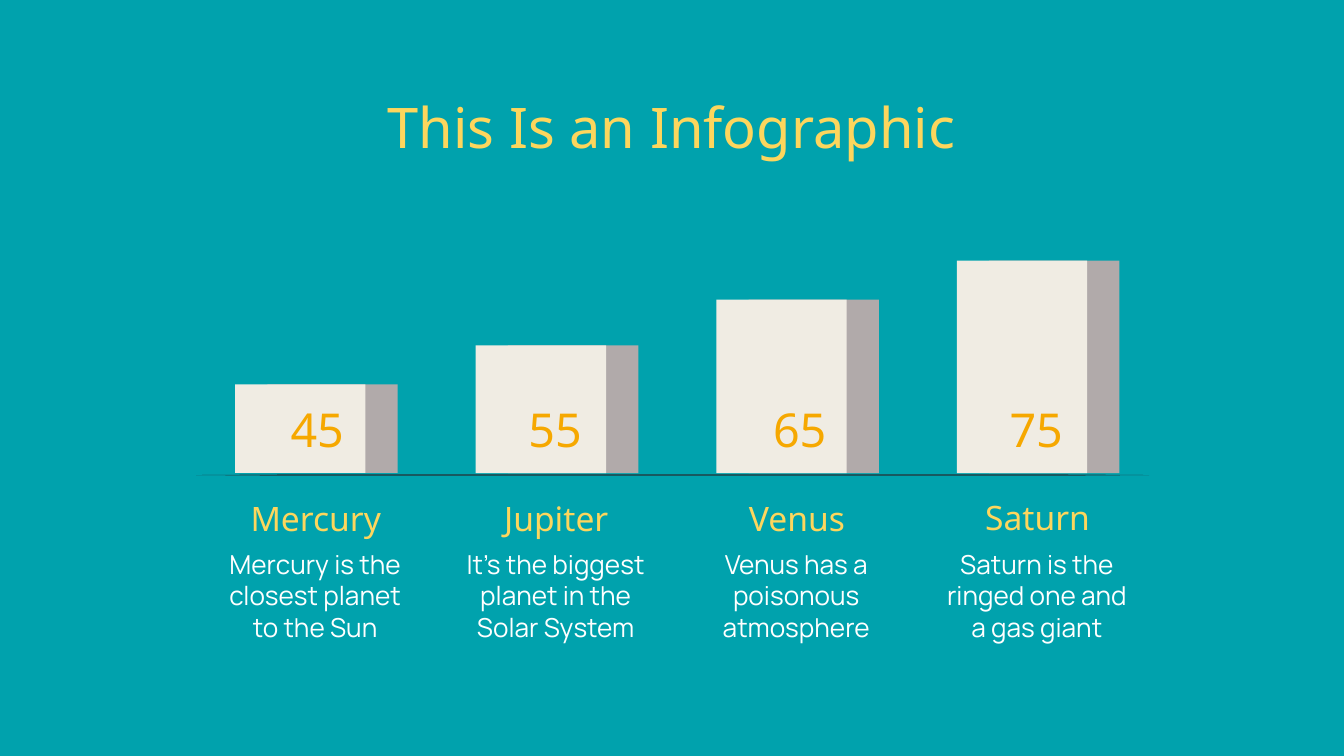
from pptx import Presentation
from pptx.dml.color import RGBColor
from pptx.enum.shapes import MSO_SHAPE
from pptx.enum.text import MSO_ANCHOR, MSO_AUTO_SIZE, PP_ALIGN
from pptx.util import Inches, Pt

TEAL = RGBColor(0x00, 0xA2, 0xAD)
YELLOW = RGBColor(0xFD, 0xD6, 0x5D)
ORANGE = RGBColor(0xF6, 0xA8, 0x00)
CREAM = RGBColor(0xF0, 0xEC, 0xE3)
GREY = RGBColor(0xB1, 0xAA, 0xAA)
DARK = RGBColor(0x26, 0x32, 0x38)
WHITE = RGBColor(0xFF, 0xFF, 0xFF)

TITLE = {"name": "Noto Sans", "size": Pt(30), "color": YELLOW}
HEADING = {"name": "Noto Sans", "size": Pt(18), "color": YELLOW}
VALUE = {"name": "Noto Sans", "size": Pt(25), "color": ORANGE}
BODY = {"name": "Manrope", "size": Pt(14), "color": WHITE}

BASELINE = 3.52
COLUMN_LEFT = 1.75
COLUMN_STEP = 1.79
FACE_WIDTH = 0.97
SIDE_OFFSET = 0.24
PLANETS = [
    ("Mercury", 45, 0.66, 0.22, 3.69, ["Mercury is the", "closest planet to the Sun"]),
    ("Jupiter", 55, 0.95, 0.2, 3.69, ["It’s the biggest", "planet in the Solar System"]),
    ("Venus", 65, 1.29, 0.23, 3.69, ["Venus has a poisonous atmosphere"]),
    ("Saturn", 75, 1.58, 0.2, 3.68, ["Saturn is the", "ringed one and a gas giant"]),
]


def write_text(shape, lines, style, anchor=MSO_ANCHOR.TOP, side_inset=0.1):
    """Fill a shape with centred paragraphs in one style."""
    frame = shape.text_frame
    settings = {
        "word_wrap": True, "auto_size": MSO_AUTO_SIZE.NONE, "vertical_anchor": anchor,
        "margin_left": Inches(side_inset), "margin_right": Inches(side_inset),
        "margin_top": Inches(0.1), "margin_bottom": Inches(0.1),
    }
    for name, value in settings.items():
        setattr(frame, name, value)
    frame.text = "\n".join(lines)
    for paragraph in frame.paragraphs:
        paragraph.alignment = PP_ALIGN.CENTER
        for name, value in style.items():
            if name == "color":
                paragraph.font.color.rgb = value
            else:
                setattr(paragraph.font, name, value)


def add_text(slide, box, lines, style, **options):
    """Add a text box at the given box in inches."""
    write_text(slide.shapes.add_textbox(*map(Inches, box)), lines, style, **options)


def paint(shape, color):
    """Give a shape a flat fill without outline or shadow."""
    shape.shadow.inherit = False
    shape.fill.solid()
    shape.fill.fore_color.rgb = color
    shape.line.fill.background()


def add_title(slide, box):
    """Place the slide title."""
    title = slide.shapes.title
    title.left, title.top, title.width, title.height = map(Inches, box)
    write_text(title, ["This Is an Infographic"], TITLE)


def add_ground(slide, left, top, width, height):
    """Draw the thin ground line, tapered to both ends."""
    inset = width / 10
    right, bottom, middle = left + width, top + height, top + height / 2
    builder = slide.shapes.build_freeform(Inches(left), Inches(middle))
    points = [(left + inset, top), (right - inset, top), (right, middle),
              (right - inset, bottom), (left + inset, bottom)]
    builder.add_line_segments([(Inches(x), Inches(y)) for x, y in points])
    paint(builder.convert_to_shape(), DARK)


def add_planet(slide, left, planet):
    """Draw one bar with its value, heading and description."""
    name, value, height, value_offset, heading_top, description = planet
    for offset, color in ((SIDE_OFFSET, GREY), (0, CREAM)):
        box = (left + offset, BASELINE - height, FACE_WIDTH, height)
        paint(slide.shapes.add_shape(MSO_SHAPE.RECTANGLE, *map(Inches, box)), color)
    add_text(slide, (left + value_offset, 2.95, 0.78, 0.48), [str(value)], VALUE,
             anchor=MSO_ANCHOR.MIDDLE, side_inset=0)
    add_text(slide, (left - 0.13, heading_top, 1.46, 0.33), [name], HEADING,
             anchor=MSO_ANCHOR.MIDDLE)
    add_text(slide, (left - 0.18, 3.98, 1.55, 0.79), description, BODY, side_inset=0.08)


def main():
    """Build the slide and save it."""
    presentation = Presentation()
    presentation.slide_width = Inches(10)
    presentation.slide_height = Inches(10) * 9 // 16
    slide = presentation.slides.add_slide(presentation.slide_layouts[5])
    slide.background.fill.solid()
    slide.background.fill.fore_color.rgb = TEAL
    add_title(slide, (0.79, 0.59, 8.41, 0.81))
    add_ground(slide, 1.46, 3.53, 7.09, 0.01)
    for index, planet in enumerate(PLANETS):
        add_planet(slide, COLUMN_LEFT + index * COLUMN_STEP, planet)
    presentation.save("out.pptx")


if __name__ == "__main__":
    main()
